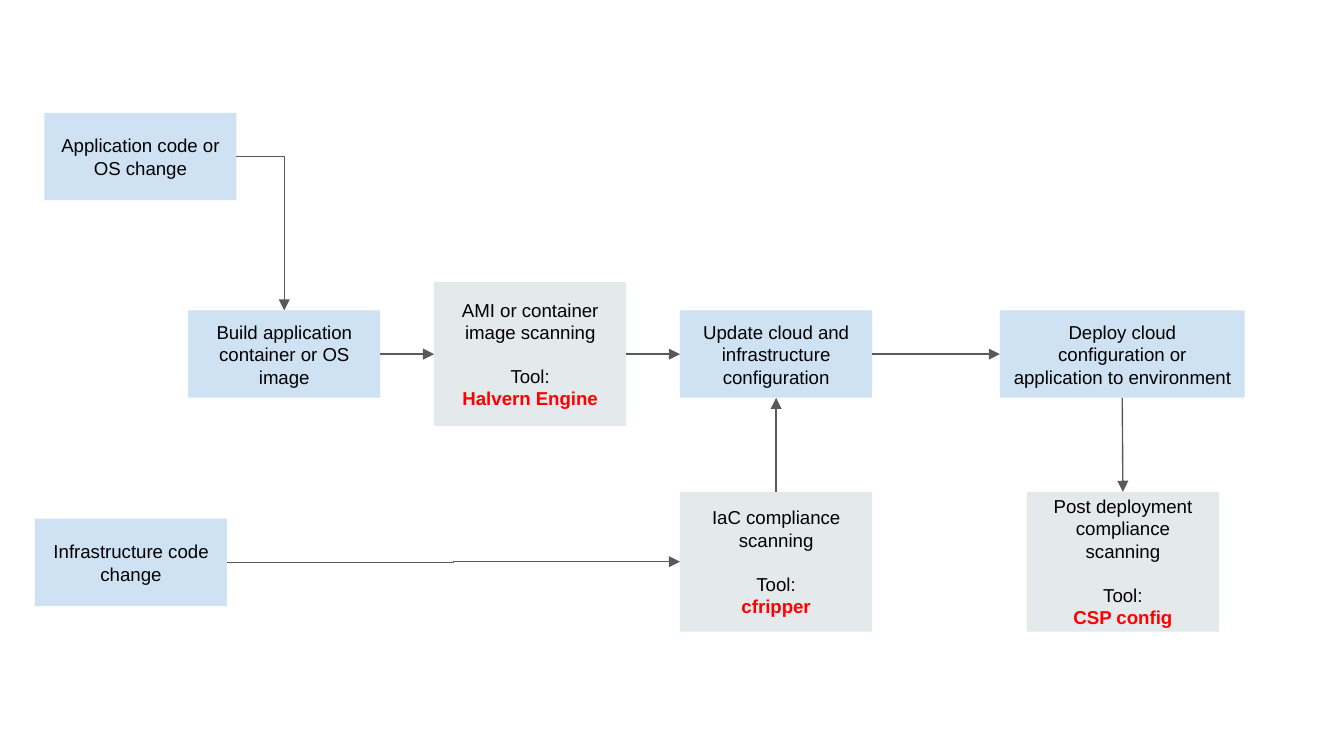
from lxml import etree
from pptx import Presentation
from pptx.dml.color import RGBColor
from pptx.enum.shapes import MSO_CONNECTOR, MSO_SHAPE
from pptx.enum.text import MSO_ANCHOR, PP_ALIGN
from pptx.oxml.ns import qn
from pptx.util import Inches, Pt

BLUE = RGBColor(0xCF, 0xE2, 0xF3)
GRAY = RGBColor(0xE4, 0xE9, 0xEB)
DARK = RGBColor(0x59, 0x59, 0x59)
BLACK = RGBColor(0, 0, 0)
RED = RGBColor(0xFF, 0, 0)

RECT = MSO_SHAPE.RECTANGLE
ELBOW, STRAIGHT = MSO_CONNECTOR.ELBOW, MSO_CONNECTOR.STRAIGHT
CENTER, MIDDLE = PP_ALIGN.CENTER, MSO_ANCHOR.MIDDLE

# Connection sites of a rectangle
TOP, LEFT, BOTTOM, RIGHT = range(4)

INSET = Inches(0.1)
FRAME = {
    "word_wrap": True, "vertical_anchor": MIDDLE,
    "margin_left": INSET, "margin_right": INSET,
    "margin_top": INSET, "margin_bottom": INSET,
}
FONT = {"name": "Arial", "size": Pt(10)}

# Slide in 16:9
PAGE = {"slide_width": Inches(10), "slide_height": Inches(10 * 9 / 16)}

WIDE, LOW = 1.43, 0.65
ROW = 2.31  # top of the main row

# Name: (left, top, width, height), label, tool
STEPS = {
    "app": ((0.33, 0.84, WIDE, LOW), "Application code or OS change", None),
    "build": ((1.4, ROW, WIDE, LOW), "Build application container or OS image", None),
    "image": ((3.23, 2.1, WIDE, 1.07), "AMI or container image scanning", "Halvern Engine"),
    "update": ((5.06, ROW, WIDE, LOW),
               "Update cloud and infrastructure configuration", None),
    "deploy": ((7.44, ROW, 1.82, LOW),
               "Deploy cloud configuration or application to environment", None),
    "infra": ((0.26, 3.86, WIDE, LOW), "Infrastructure code change", None),
    "iac": ((5.06, 3.66, WIDE, 1.04), "IaC compliance scanning", "cfripper"),
    "post": ((7.64, 3.66, WIDE, 1.04), "Post deployment compliance scanning", "CSP config"),
}

# From, site, to, site, kind
LINKS = [
    ("app", RIGHT, "build", TOP, ELBOW),
    ("build", RIGHT, "image", LEFT, ELBOW),
    ("image", RIGHT, "update", LEFT, ELBOW),
    ("update", RIGHT, "deploy", LEFT, ELBOW),
    ("infra", RIGHT, "iac", LEFT, ELBOW),
    ("iac", TOP, "update", BOTTOM, STRAIGHT),
    ("deploy", BOTTOM, "post", TOP, STRAIGHT),
]


def apply(target, values):
    for name, value in values.items():
        setattr(target, name, value)


def add_step(slide, box, label, tool):
    """A filled box: a plain step, or a scan that names its tool."""
    shape = slide.shapes.add_shape(RECT, *map(Inches, box))
    shape.shadow.inherit = False
    shape.fill.solid()
    shape.fill.fore_color.rgb = GRAY if tool else BLUE
    shape.line.fill.background()
    frame = shape.text_frame
    apply(frame, FRAME)

    # Text, gap before the tool, bold tool name
    lines = [(label, 0, BLACK, False)]
    if tool:
        lines += [("Tool:", 11.5, BLACK, False), (tool, 0, RED, True)]
    for i, (text, gap, color, bold) in enumerate(lines):
        para = frame.add_paragraph() if i else frame.paragraphs[0]
        apply(para, {"alignment": CENTER, "space_before": Pt(gap)})
        run = para.add_run()
        run.text = text
        apply(run.font, {**FONT, "bold": bold})
        run.font.color.rgb = color
    return shape


def add_link(slide, start, out, end, into, kind):
    """An arrow glued to a site of each box."""
    link = slide.shapes.add_connector(kind, 0, 0, 0, 0)
    link.begin_connect(start, out)
    link.end_connect(end, into)
    link.line.color.rgb = DARK
    link.line.width = Pt(0.75)
    props = link._element.spPr
    if out == RIGHT and into == TOP:  # one corner only
        props.find(qn("a:prstGeom")).set("prst", "bentConnector2")
    etree.SubElement(props.find(qn("a:ln")), qn("a:tailEnd"), type="triangle")
    etree.SubElement(props, qn("a:effectLst"))


def add_flow(slide):
    boxes = {name: add_step(slide, *step) for name, step in STEPS.items()}
    for start, out, end, into, kind in LINKS:
        add_link(slide, boxes[start], out, boxes[end], into, kind)


def main():
    deck = Presentation()
    apply(deck, PAGE)
    add_flow(deck.slides.add_slide(deck.slide_layouts[6]))
    deck.save("out.pptx")


if __name__ == "__main__":
    main()
